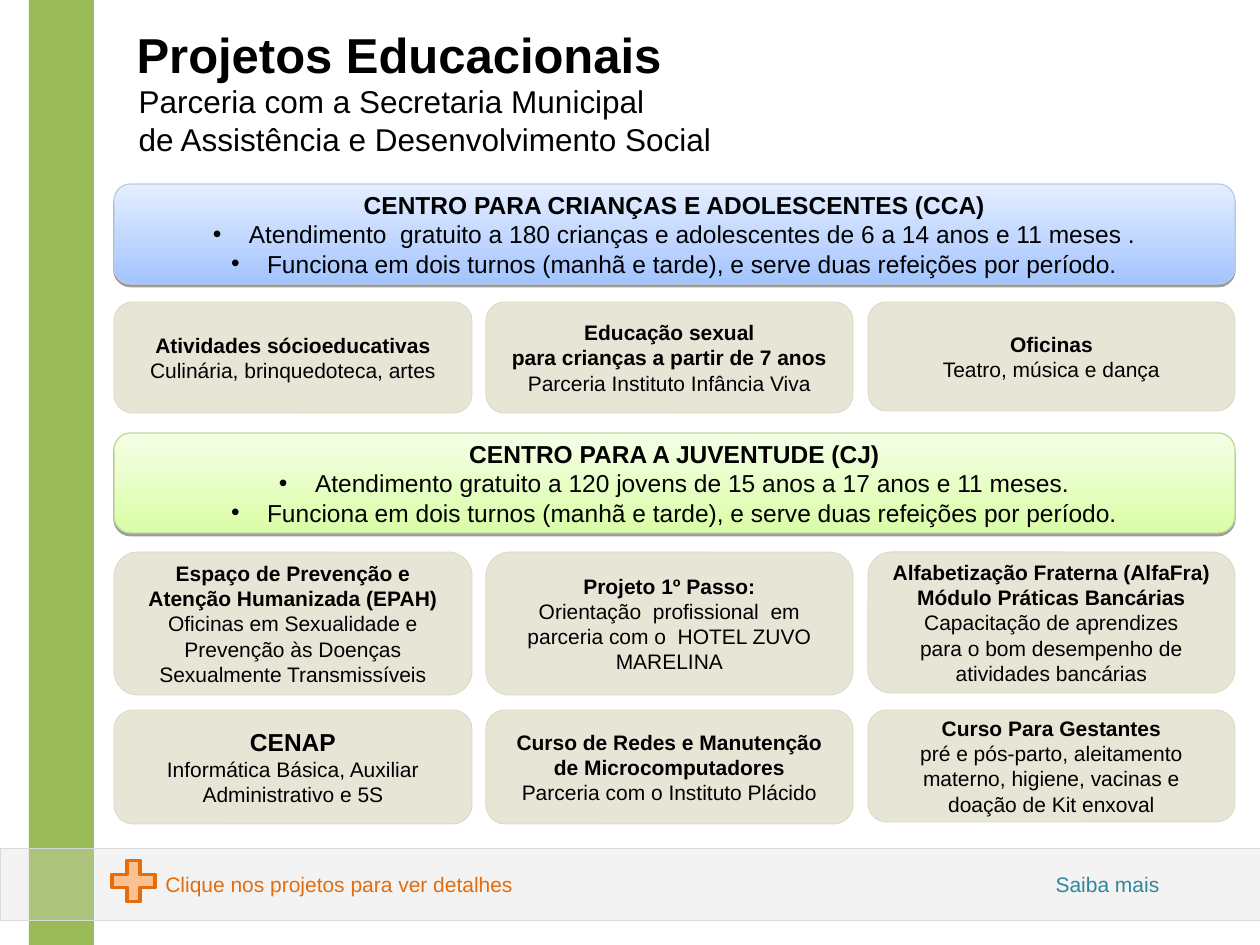
from lxml import etree
from pptx import Presentation
from pptx import util as u
from pptx.dml.color import RGBColor
from pptx.enum import shapes, text
from pptx.oxml.ns import qn

SCALE = 914400 / 126  # EMU per px
BLACK, ORANGE, TEAL = "000000", "E46C0A", "31859C"
SAND, GREY = "DDD9C3", "D9D9D9"
LEFT, CENTER = text.PP_ALIGN.LEFT, text.PP_ALIGN.CENTER

TITLE = "Projetos Educacionais"
SUBTITLE = ["Parceria com a Secretaria Municipal",
            "de Assistência e Desenvolvimento Social"]

# top, colour at the bottom, colour at the top, line colour, heading, bullets
BANDS = [
    (184, "A3C4FF", "E5EEFF", "B9CDE5", "CENTRO PARA CRIANÇAS E ADOLESCENTES (CCA)",
     ["Atendimento  gratuito a 180 crianças e adolescentes de 6 a 14 anos e 11 meses .",
      "Funciona em dois turnos (manhã e tarde), e serve duas refeições por período."]),
    (433, "DAFDA7", "F5FFE6", "C3D69B", "CENTRO PARA A JUVENTUDE (CJ)",
     ["Atendimento gratuito a 120 jovens de 15 anos a 17 anos e 11 meses.",
      "Funciona em dois turnos (manhã e tarde), e serve duas refeições por período."]),
]

# left, width, height taken off the row
COLUMNS = [(114, 358, 0), (486, 367, 0), (868, 367, 2)]

# top, height, cards as (heading size, headings, details)
CARD_ROWS = [
    (302, 111, [
        (12, ["Atividades sócioeducativas"], ["Culinária, brinquedoteca, artes"]),
        (12, ["Educação sexual", "para crianças a partir de 7 anos"],
         ["Parceria Instituto Infância Viva"]),
        (12, ["Oficinas"], ["Teatro, música e dança"]),
    ]),
    (552, 143, [
        (12, ["Espaço de Prevenção e Atenção Humanizada (EPAH)"],
         ["Oficinas em Sexualidade e Prevenção às Doenças Sexualmente Transmissíveis"]),
        (12, ["Projeto 1º Passo:"],
         ["Orientação  profissional  em parceria com o  HOTEL ZUVO MARELINA"]),
        (12, ["Alfabetização Fraterna (AlfaFra)", "Módulo Práticas Bancárias"],
         ["Capacitação de aprendizes", "para o bom desempenho de atividades bancárias"]),
    ]),
    (710, 114, [
        (14, ["CENAP"], ["Informática Básica, Auxiliar Administrativo e 5S"]),
        (12, ["Curso de Redes e Manutenção de Microcomputadores"],
         ["Parceria com o Instituto Plácido"]),
        (12, ["Curso Para Gestantes"],
         ["pré e pós-parto, aleitamento materno, higiene, vacinas e doação de Kit enxoval"]),
    ]),
]

# left, top, width, height, words, colour, alignment
FOOTER_TEXTS = [
    (153, 865, 630, 38, "Clique nos projetos para ver detalhes", ORANGE, LEFT),
    (1023, 865, 169, 38, "Saiba mais", TEAL, CENTER),
]


def px(length):
    return u.Emu(round(length * SCALE))


def rgb(value):
    return RGBColor.from_string(value)


def place(shape, left, top, width, height):
    shape.left, shape.top = px(left), px(top)
    shape.width, shape.height = px(width), px(height)


def add_box(slide, kind, box, fill=None, line=None, line_width=0.5, alpha=None):
    shape = slide.shapes.add_shape(kind, *map(px, box))
    shape.shadow.inherit = False
    if fill:
        shape.fill.solid()
        shape.fill.fore_color.rgb = rgb(fill)
    if alpha:
        color = shape.fill._xPr.find(qn("a:solidFill"))[0]
        etree.SubElement(color, qn("a:alpha"), val=str(alpha * 1000))
    if line:
        shape.line.color.rgb = rgb(line)
        shape.line.width = u.Pt(line_width)
    else:
        shape.line.fill.background()
    return shape


def write(frame, lines, color=BLACK, align=CENTER):
    """Fill a text frame with lines of (words, size, bold)."""
    frame.word_wrap = True
    frame.auto_size = text.MSO_AUTO_SIZE.NONE
    for index, (words, size, bold) in enumerate(lines):
        paragraph = frame.add_paragraph() if index else frame.paragraphs[0]
        paragraph.text = words
        paragraph.alignment = align
        paragraph.space_before = u.Pt(0)
        font = paragraph.font
        font.name, font.size, font.bold = "Arial", u.Pt(size), bold
        font.color.rgb = rgb(color)


def add_bullet(paragraph, indent=36):
    properties = paragraph._p.get_or_add_pPr()
    properties.set("marL", str(px(indent)))
    properties.set("indent", str(-px(indent)))
    # the bullet must stand before the default run properties
    default_run = properties.find(qn("a:defRPr"))
    font = etree.Element(qn("a:buFont"), typeface="Arial")
    bullet = etree.Element(qn("a:buChar"), char="•")
    for element in (font, bullet):
        default_run.addprevious(element)


def add_drop_shadow(shape):
    effects = shape._element.spPr.find(qn("a:effectLst"))
    shadow = etree.SubElement(effects, qn("a:outerShdw"), blurRad="0", dist="20000",
                              dir="5400000", rotWithShape="0")
    color = etree.SubElement(shadow, qn("a:srgbClr"), val=BLACK)
    etree.SubElement(color, qn("a:alpha"), val="38000")


def add_band(slide, top, bottom_color, top_color, line, heading, bullets):
    band = add_box(slide, shapes.MSO_SHAPE.ROUNDED_RECTANGLE, (114, top, 1121, 100),
                   line=line, line_width=0.75)
    band.fill.gradient()
    band.fill.gradient_angle = 90
    for stop, color in zip(band.fill.gradient_stops, (bottom_color, top_color)):
        stop.color.rgb = rgb(color)
    add_drop_shadow(band)
    write(band.text_frame, [(heading, 14, True)] + [(words, 14, False) for words in bullets])
    for paragraph in band.text_frame.paragraphs[1:]:
        add_bullet(paragraph)


def main():
    presentation = Presentation()
    presentation.slide_width, presentation.slide_height = px(1260), px(945)
    slide = presentation.slides.add_slide(presentation.slide_layouts[0])

    title, subtitle = slide.placeholders
    place(title, 124, 6, 586, 96)
    write(title.text_frame, [(TITLE, 28, True)], align=LEFT)
    title.text_frame.vertical_anchor = text.MSO_ANCHOR.MIDDLE
    place(subtitle, 126, 76, 630, 88)
    write(subtitle.text_frame, [(words, 18, False) for words in SUBTITLE], align=LEFT)

    add_box(slide, shapes.MSO_SHAPE.RECTANGLE, (29, 0, 65, 945), "99BA56")
    add_box(slide, shapes.MSO_SHAPE.FLOWCHART_PROCESS, (0, 848, 1260, 72), GREY, GREY, alpha=31)

    for band in BANDS:
        add_band(slide, *band)

    for top, height, cards in CARD_ROWS:
        for (left, width, trim), (size, headings, details) in zip(COLUMNS, cards):
            card = add_box(slide, shapes.MSO_SHAPE.ROUNDED_RECTANGLE,
                           (left, top, width, height - trim), SAND, SAND, alpha=68)
            write(card.text_frame, [(words, size, True) for words in headings]
                  + [(words, 12, False) for words in details])

    add_box(slide, shapes.MSO_SHAPE.MATH_PLUS, (104, 853, 59, 56), "FAC090", ORANGE, 2)
    for *box, words, color, align in FOOTER_TEXTS:
        label = slide.shapes.add_textbox(*map(px, box))
        write(label.text_frame, [(words, 12, False)], color, align)

    presentation.save("out.pptx")


if __name__ == "__main__":
    main()
